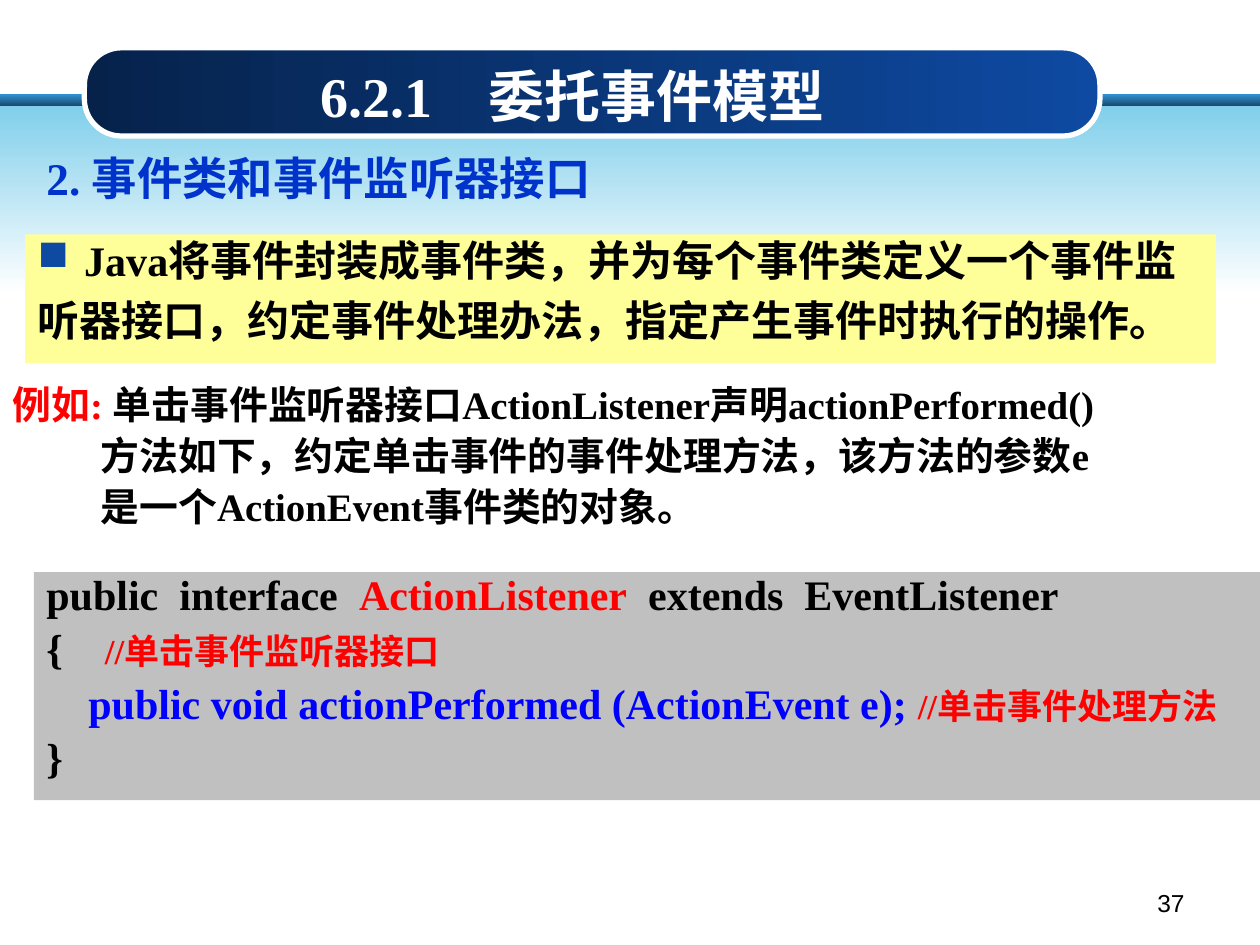
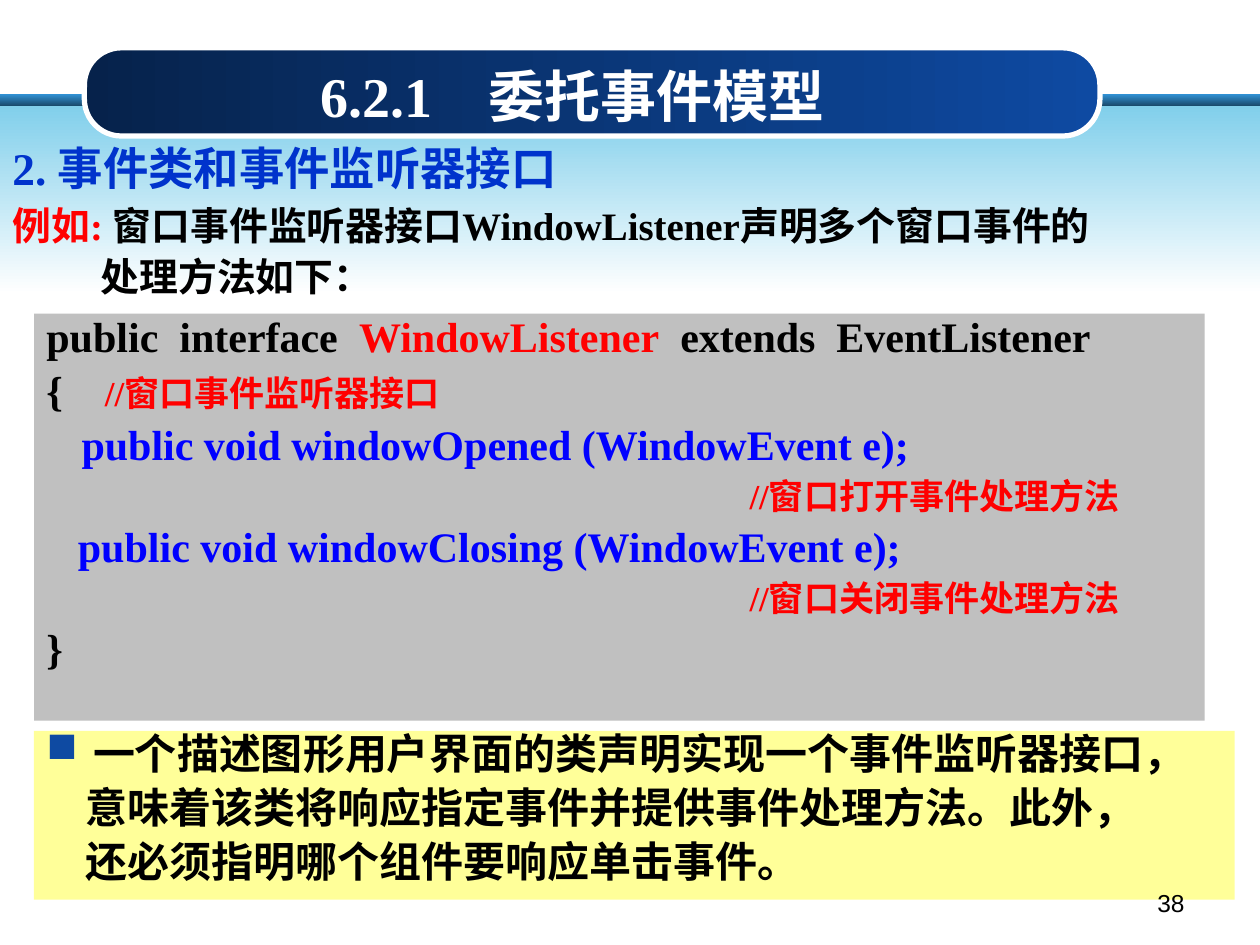
from lxml import etree
from pptx import Presentation
from pptx.dml.color import RGBColor
from pptx.enum import shapes, text
from pptx.oxml import ns
from pptx.util import Inches, Pt

WHITE = RGBColor(0xFF, 0xFF, 0xFF)
BLACK = RGBColor(0, 0, 0)
RED = RGBColor(0xFF, 0, 0)
BLUE = RGBColor(0, 0, 0xFF)
HEADING_BLUE = RGBColor(0, 0x33, 0xCC)
YELLOW = RGBColor(0xFF, 0xFF, 0x99)
GRAY = RGBColor(0xC0, 0xC0, 0xC0)
NAVY = RGBColor(0x06, 0x22, 0x4B)
ROYAL = RGBColor(0x0E, 0x4A, 0xA2)
STRIPE_TOP = RGBColor(0x31, 0x91, 0xD3)
STRIPE_BOTTOM = RGBColor(0x17, 0x43, 0x62)
SKY = RGBColor(0x81, 0xCF, 0xEB)

SERIF, SANS, CJK = "Times New Roman", "Arial", "Noto Sans CJK SC"
HEADING_SIZE, EXAMPLE_SIZE, BODY_SIZE, COMMENT_SIZE = 25.9, 22.2, 24, 20
BULLET_INDENT = 0.37
EXAMPLE_INDENT = 0.7
COMMENT_INDENT = 5.58


def add_run(p, words, size, color, font=SERIF, bold=True):
    r = p.add_run()
    r.text = words
    r.font.size = Pt(size)
    r.font.bold = bold
    r.font.color.rgb = color
    r.font.name = font
    etree.SubElement(r._r.get_or_add_rPr(), ns.qn("a:ea")).set("typeface", CJK)


def add_bullet(p):
    pPr = p._p.get_or_add_pPr()
    pPr.set("indent", str(-Inches(BULLET_INDENT)))
    color = etree.SubElement(pPr, ns.qn("a:buClr"))
    etree.SubElement(color, ns.qn("a:srgbClr")).set("val", str(ROYAL))
    etree.SubElement(pPr, ns.qn("a:buChar")).set("char", "■")


def fill_text(sp, lines, spacing=0.8, bulleted=False):
    tf = sp.text_frame
    tf.word_wrap = True
    tf.vertical_anchor = text.MSO_ANCHOR.TOP
    for i, (indent, runs) in enumerate(lines):
        p = tf.paragraphs[0] if i == 0 else tf.add_paragraph()
        p.alignment = text.PP_ALIGN.LEFT
        p.line_spacing = spacing
        p.space_before = Pt(8 if i else 0)
        p._p.get_or_add_pPr().set("marL", str(Inches(indent)))
        if bulleted and i == 0:
            add_bullet(p)
        for run in runs:
            add_run(p, *run)


def add_box(s, box, kind=shapes.MSO_SHAPE.RECTANGLE):
    sp = s.shapes.add_shape(kind, *map(Inches, box))
    sp.shadow.inherit = False
    sp.line.fill.background()
    return sp


def add_panel(s, box, color):
    sp = add_box(s, box)
    sp.fill.solid()
    sp.fill.fore_color.rgb = color
    return sp


def add_textbox(s, box):
    sp = s.shapes.add_textbox(*map(Inches, box))
    sp.text_frame.word_wrap = True
    return sp


def set_gradient(sp, start, end, angle):
    sp.fill.gradient()
    sp.fill.gradient_angle = angle
    for stop, color, position in zip(sp.fill.gradient_stops, (start, end), (0, 1)):
        stop.color.rgb = color
        stop.position = position


def add_frame(s, title):
    set_gradient(add_box(s, (0, 0.75, 10, 0.1)), STRIPE_TOP, STRIPE_BOTTOM, 270)
    set_gradient(add_box(s, (0, 0.84, 10, 1.49)), SKY, WHITE, 270)
    banner = add_box(s, (0.67, 0.38, 8.06, 0.7), shapes.MSO_SHAPE.ROUNDED_RECTANGLE)
    banner.adjustments[0] = 0.42
    set_gradient(banner, NAVY, ROYAL, 0)
    banner.line.color.rgb = WHITE
    banner.line.width = Pt(3)
    tf = add_textbox(s, (1.04, 0.35, 7.01, 0.72)).text_frame
    tf.vertical_anchor = text.MSO_ANCHOR.BOTTOM
    p = tf.paragraphs[0]
    p.alignment = text.PP_ALIGN.CENTER
    add_run(p, title, 32, WHITE)


def add_heading(s, left, top):
    sp = add_textbox(s, (left, top, 5.04, 0.47))
    fill_text(sp, [(0, [("2. 事件类和事件监听器接口", HEADING_SIZE, HEADING_BLUE)])])


def add_note(s, box, lines, hang, spacing):
    rows = [(hang if i else BULLET_INDENT, [(line, BODY_SIZE, BLACK)])
            for i, line in enumerate(lines)]
    fill_text(add_panel(s, box, YELLOW), rows, spacing, bulleted=True)


def add_example(s, box, lines):
    first, *rest = lines
    rows = [(0, [("例如: ", EXAMPLE_SIZE, RED), (first, EXAMPLE_SIZE, BLACK)])]
    rows += [(EXAMPLE_INDENT, [(line, EXAMPLE_SIZE, BLACK)]) for line in rest]
    fill_text(add_textbox(s, box), rows)


def comment(words):
    return words, COMMENT_SIZE, RED


def method(words):
    return words, BODY_SIZE, BLUE


def add_code(s, box, interface, summary, body):
    rows = [
        (0, [("public  interface  ", BODY_SIZE, BLACK),
             (interface, BODY_SIZE, RED),
             ("  extends  EventListener", BODY_SIZE, BLACK)]),
        (0, [("{    ", BODY_SIZE, BLACK), comment(summary)]),
        *body,
        (0, [("}", BODY_SIZE, BLACK)]),
    ]
    fill_text(add_panel(s, box, GRAY), rows)


def add_page_number(s, number):
    p = add_textbox(s, (7.17, 7, 2.33, 0.35)).text_frame.paragraphs[0]
    p.alignment = text.PP_ALIGN.RIGHT
    add_run(p, str(number), 14, BLACK, SANS, False)


def action_listener_slide(s):
    add_heading(s, 0.27, 1.23)
    add_note(s, (0.2, 1.86, 9.45, 1.02), [
        "Java将事件封装成事件类，并为每个事件类定义一个事件监",
        "听器接口，约定事件处理办法，指定产生事件时执行的操作。",
    ], 0, 0.9)
    add_example(s, (0, 3.04, 10, 1.42), [
        "单击事件监听器接口ActionListener声明actionPerformed()",
        "方法如下，约定单击事件的事件处理方法，该方法的参数e",
        "是一个ActionEvent事件类的对象。",
    ])
    add_code(s, (0.27, 4.54, 9.73, 1.81), "ActionListener", "//单击事件监听器接口", [
        (0, [method("    public void actionPerformed (ActionEvent e); "),
             comment("//单击事件处理方法")]),
    ])


def window_listener_slide(s):
    add_heading(s, 0, 1.15)
    add_note(s, (0.27, 5.8, 9.53, 1.34), [
        "一个描述图形用户界面的类声明实现一个事件监听器接口，",
        "意味着该类将响应指定事件并提供事件处理方法。此外，",
        "还必须指明哪个组件要响应单击事件。",
    ], 0.31, 0.8)
    add_example(s, (0, 1.62, 9.49, 0.94), [
        "窗口事件监听器接口WindowListener声明多个窗口事件的",
        "处理方法如下：",
    ])
    add_code(s, (0.27, 2.49, 9.29, 3.23), "WindowListener", "//窗口事件监听器接口", [
        (0, [("    ", COMMENT_SIZE, BLACK),
             method("public void windowOpened (WindowEvent e);")]),
        (COMMENT_INDENT, [comment("//窗口打开事件处理方法")]),
        (0, [method("   public void windowClosing (WindowEvent e);")]),
        (COMMENT_INDENT, [comment("//窗口关闭事件处理方法")]),
    ])


def main():
    prs = Presentation()
    prs.slide_width, prs.slide_height = Inches(10), Inches(7.5)
    for number, build in enumerate((action_listener_slide, window_listener_slide), 37):
        s = prs.slides.add_slide(prs.slide_layouts[6])
        add_frame(s, "6.2.1　委托事件模型")
        build(s)
        add_page_number(s, number)
    prs.save("out.pptx")


if __name__ == "__main__":
    main()
